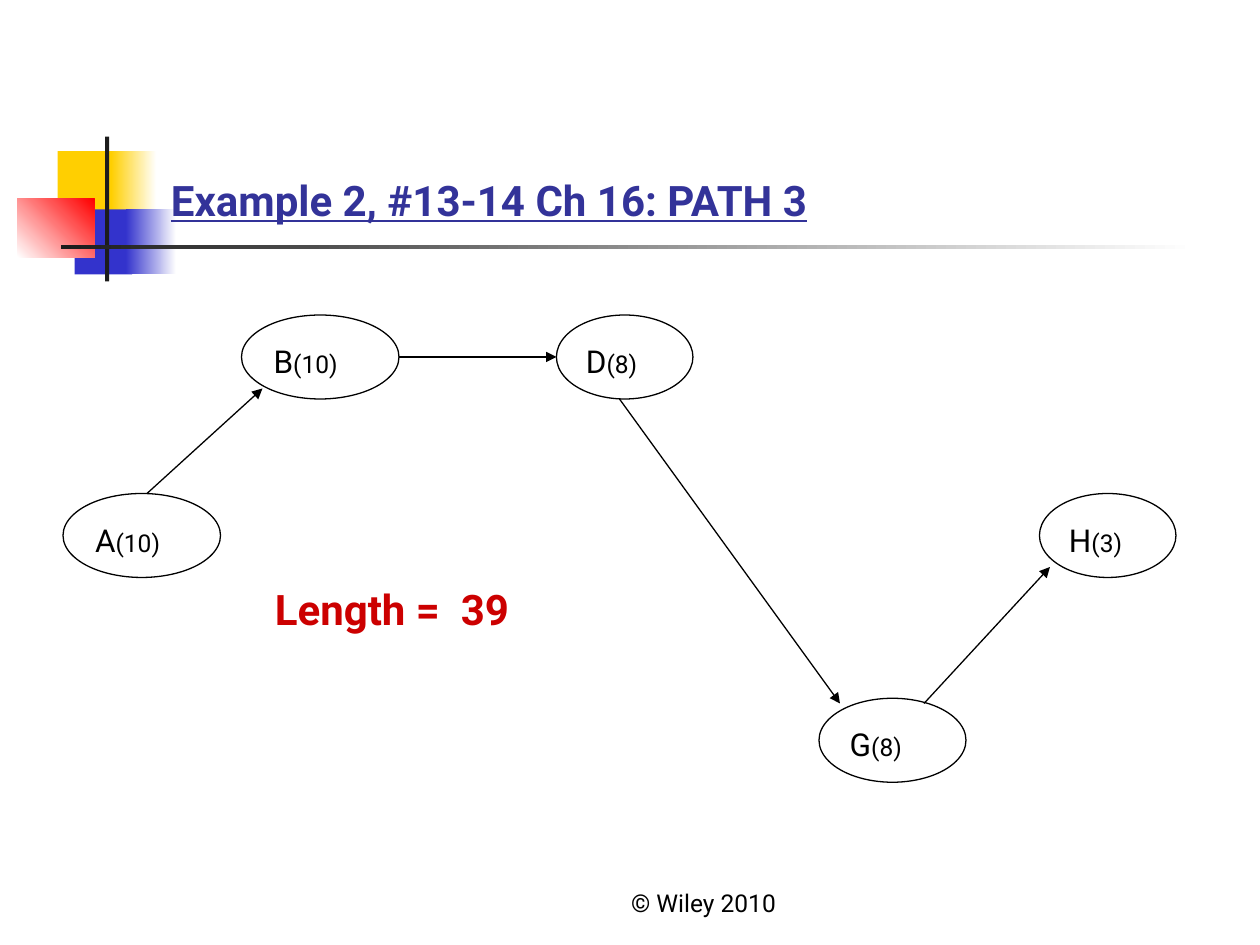
from dataclasses import dataclass
from typing import Any

from lxml import etree
from pptx import Presentation
from pptx.dml.color import RGBColor
from pptx.enum.shapes import MSO_CONNECTOR, MSO_SHAPE
from pptx.enum.text import MSO_ANCHOR, PP_ALIGN
from pptx.oxml.ns import qn
from pptx.util import Inches, Pt

RECTANGLE, OVAL = MSO_SHAPE.RECTANGLE, MSO_SHAPE.OVAL
STRAIGHT = MSO_CONNECTOR.STRAIGHT
TOP, BOTTOM = MSO_ANCHOR.TOP, MSO_ANCHOR.BOTTOM
LEFT, CENTER = PP_ALIGN.LEFT, PP_ALIGN.CENTER
CELLS_PER_INCH = 12


def rgb(code):
    return RGBColor.from_string(code)


def grid(*cells):
    return [Inches(cell / CELLS_PER_INCH) for cell in cells]


@dataclass
class PathSlide:
    slide: Any
    font: str = "Roboto"
    ink: str = "000000"
    line_width: float = 0.75

    def block(self, box, *colors, angle=0):
        block = self.slide.shapes.add_shape(RECTANGLE, *grid(*box))
        block.shadow.inherit = False
        block.line.fill.background()
        if len(colors) == 1:
            block.fill.solid()
            block.fill.fore_color.rgb = rgb(colors[0])
            return
        block.fill.gradient()
        block.fill.gradient_angle = angle
        for stop, color in zip(block.fill.gradient_stops, colors):
            stop.color.rgb = rgb(color)

    def text(self, box, pieces, color=None, bold=False, underline=False,
             align=LEFT, anchor=TOP):
        frame = self.slide.shapes.add_textbox(*grid(*box)).text_frame
        frame.word_wrap = True
        frame.vertical_anchor = anchor
        paragraph = frame.paragraphs[0]
        paragraph.alignment = align
        font = paragraph.font
        font.name, font.bold, font.underline = self.font, bold, underline
        font.color.rgb = rgb(color or self.ink)
        font.size = Pt(pieces[0][1])
        for wording, size in pieces:
            run = paragraph.add_run()
            run.text = wording
            if len(pieces) > 1:
                run.font.size = Pt(size)

    def outline(self, line):
        line.color.rgb = rgb(self.ink)
        line.width = Pt(self.line_width)

    def activity(self, name, duration, left, top, width, height=8):
        oval = self.slide.shapes.add_shape(OVAL, *grid(left, top, width, height))
        oval.shadow.inherit = False
        oval.fill.background()
        self.outline(oval.line)
        label = (left + width / 8, top + height / 4, width * 5 / 8, 4.8)
        self.text(label, [(name, 18), (f"({duration})", 14)])

    def arrow(self, start, end):
        arrow = self.slide.shapes.add_connector(STRAIGHT, *grid(*start, *end))
        self.outline(arrow.line)
        etree.SubElement(arrow.line._get_or_add_ln(), qn("a:tailEnd"), type="triangle")
        etree.SubElement(arrow._element.spPr, qn("a:effectLst"))


def main():
    deck = Presentation()
    deck.slide_width, deck.slide_height = grid(120, 90)
    path = PathSlide(deck.slides.add_slide(deck.slide_layouts[6]))

    yellow, blue, red, dark, white = "FFCF01", "3333CC", "FF0000", "1C1C1C", "FFFFFF"
    path.block((5.5, 14.4, 5.8, 6.2), yellow)
    path.block((10.6, 14.4, 4.3, 6.2), yellow, white)
    path.block((7.1, 19.95, 5.5, 6.2), blue)
    path.block((12, 19.95, 4.8, 6.2), blue, white)
    path.block((1.65, 18.95, 7.35, 5.55), white, red, angle=45)
    path.block((10, 13, 0.4, 13.8), dark)
    path.block((5.8, 23.35, 108, 0.4), dark, white)

    path.text((48, 82, 38, 6), [("© Wiley 2010", 14)], align=CENTER, anchor=BOTTOM)
    path.text((15.1, 2.8, 102.2, 19.2), [("Example 2, #13-14 Ch 16: PATH 3", 24)],
              color="333399", bold=True, underline=True, anchor=BOTTOM)

    activities = [
        ("A", 10, 6, 47, 15),
        ("B", 10, 23, 30, 15),
        ("D", 8, 53, 30, 13),
        ("G", 8, 78, 66.5, 14),
        ("H", 3, 99, 47, 13),
    ]
    for activity in activities:
        path.activity(*activity)

    arrows = [
        ((14, 47), (25, 37)),
        ((38, 34), (53, 34)),
        ((88, 67), (100, 54)),
        ((59, 38), (80, 67)),
    ]
    for start, end in arrows:
        path.arrow(start, end)

    path.text((25, 55, 37, 6), [("Length =  39", 24)], color="CC0000", bold=True)
    deck.save("out.pptx")


if __name__ == "__main__":
    main()
